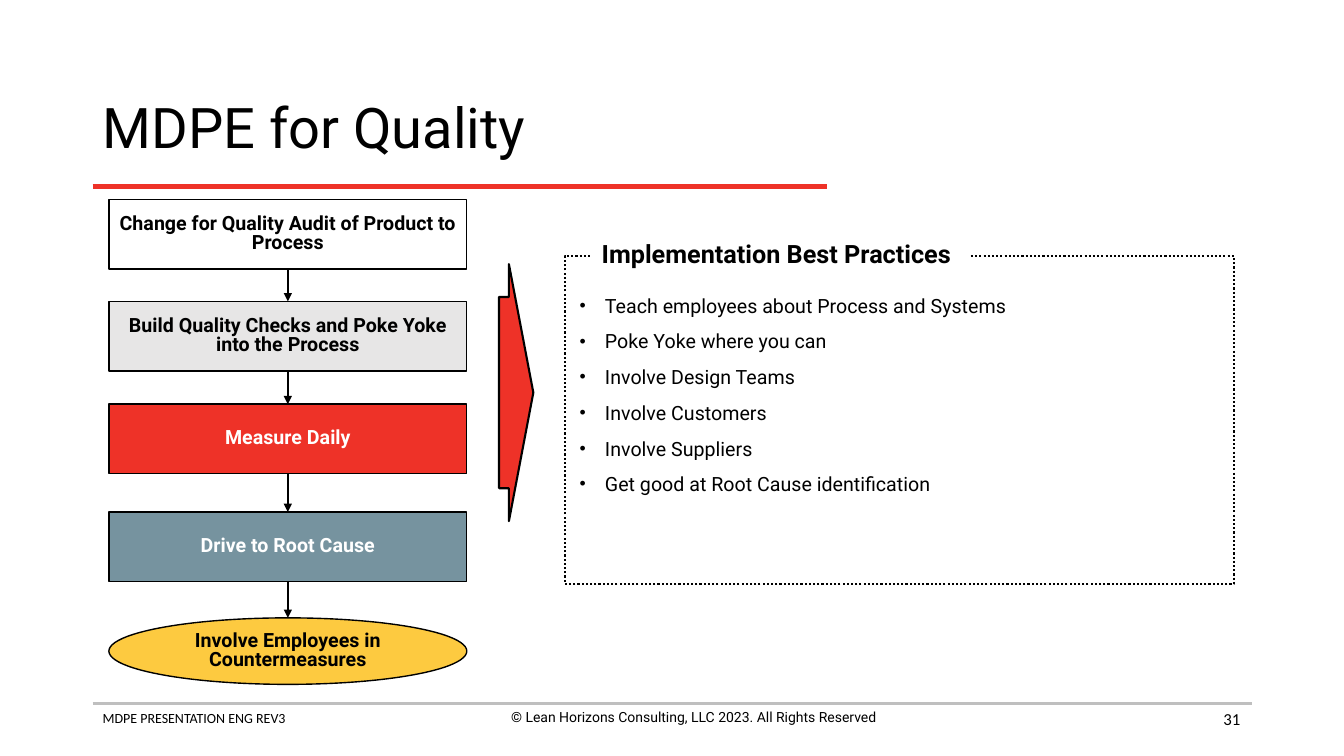
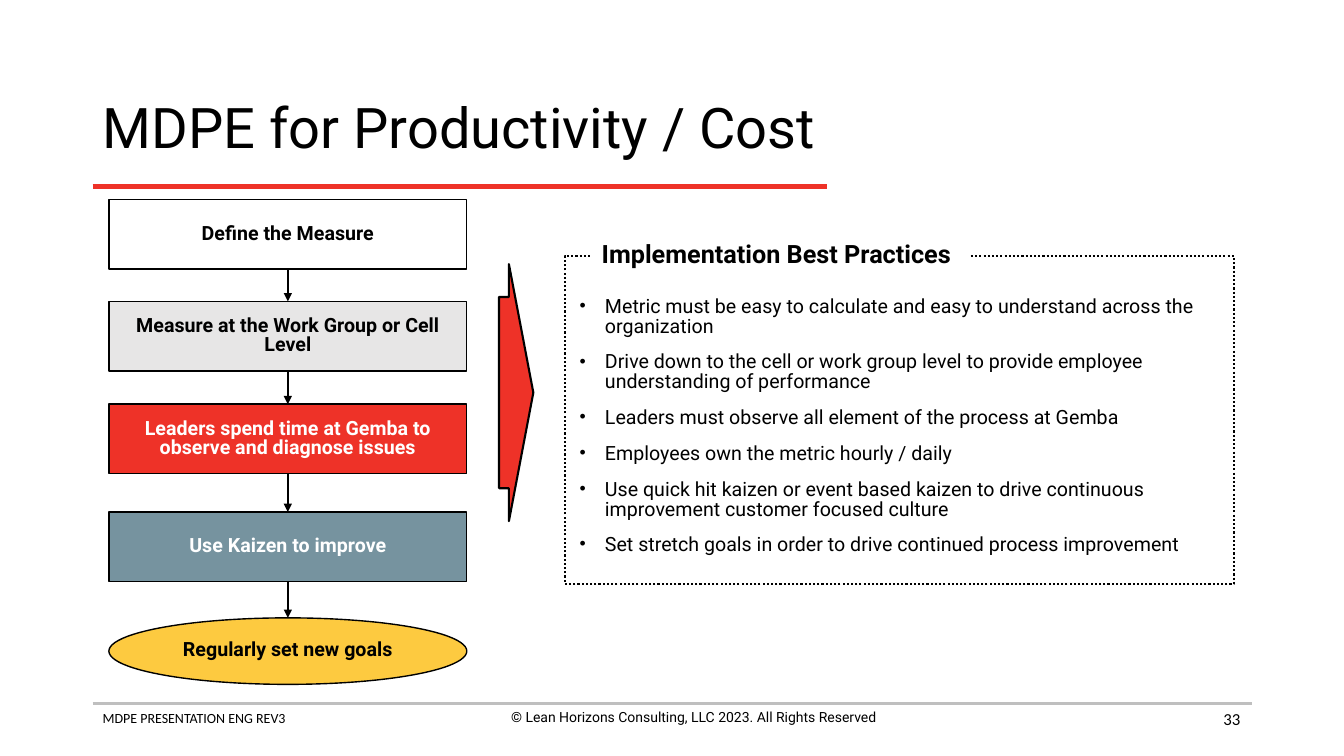
from itertools import pairwise

from lxml import etree
from pptx import Presentation
from pptx.dml.color import RGBColor
from pptx.enum.dml import MSO_LINE
from pptx.enum.shapes import MSO_CONNECTOR, MSO_SHAPE as SHAPE
from pptx.enum.text import MSO_ANCHOR as ANCHOR, PP_ALIGN as ALIGN
from pptx.oxml.ns import qn
from pptx.util import Inches, Pt

# Content
SLIDES = [
    {
        "title": "MDPE for Quality",
        "number": "31",
        "steps": [
            "Change for Quality Audit of Product to Process",
            "Build Quality Checks and Poke Yoke into the Process",
            "Measure Daily",
            "Drive to Root Cause",
            "Involve Employees in Countermeasures",
        ],
        "practices": [
            "Teach employees about Process and Systems",
            "Poke Yoke where you can",
            "Involve Design Teams",
            "Involve Customers",
            "Involve Suppliers",
            "Get good at Root Cause identification",
        ],
    },
    {
        "title": "MDPE for Productivity / Cost",
        "number": "33",
        "steps": [
            "Define the Measure",
            "Measure at the Work Group or Cell Level",
            "Leaders spend time at Gemba to observe and diagnose issues",
            "Use Kaizen to improve",
            "Regularly set new goals",
        ],
        "practices": [
            "Metric must be easy to calculate and easy to understand across the organization",
            "Drive down to the cell or work group level to provide employee understanding of performance",
            "Leaders must observe all element of the process at Gemba",
            "Employees own the metric hourly / daily",
            "Use quick hit kaizen or event based kaizen to drive continuous improvement customer focused culture",
            "Set stretch goals in order to drive continued process improvement",
        ],
    },
]
PRACTICES_HEADING = "Implementation Best Practices"
FOOTER = "MDPE PRESENTATION ENG REV3"
COPYRIGHT = "© Lean Horizons Consulting, LLC 2023. All Rights Reserved"

# Shared style
BLACK, WHITE, RED, GRAY = "000000", "FFFFFF", "EE3228", "BFBFBF"
HEAD_FONT, FOOT_FONT = "Roboto", "Calibri"
MARGIN = 0.92
STEP_LEFT, STEP_WIDTH = 1.08, 3.55
# Shape, top, height, fill and text colour of each step
STEP_STYLES = [
    (SHAPE.RECTANGLE, 1.98, 0.69, WHITE, BLACK),
    (SHAPE.RECTANGLE, 2.99, 0.69, "E7E6E6", BLACK),
    (SHAPE.RECTANGLE, 4.01, 0.69, RED, WHITE),
    (SHAPE.RECTANGLE, 5.08, 0.69, "76939F", WHITE),
    (SHAPE.OVAL, 6.13, 0.66, "FDCA40", BLACK),
]


def rgb(value):
    return RGBColor.from_string(value)


def add_bullet(paragraph):
    props = paragraph._p.get_or_add_pPr()
    props.set("marL", str(Inches(0.25)))
    props.set("indent", str(Inches(-0.25)))
    color = etree.SubElement(props, qn("a:buClr"))
    etree.SubElement(color, qn("a:srgbClr"), val=BLACK)
    etree.SubElement(props, qn("a:buSzPct"), val="90000")
    etree.SubElement(props, qn("a:buFont"), typeface="Arial")
    etree.SubElement(props, qn("a:buChar"), char="•")


def write(shape, lines, size=14, font=HEAD_FONT, color=BLACK, bold=False,
          align=ALIGN.LEFT, anchor=ANCHOR.TOP, spacing=1.0, gap=0,
          bullets=False, inset=(0.1, 0.05)):
    frame = shape.text_frame
    frame.word_wrap = True
    frame.vertical_anchor = anchor
    frame.margin_left = frame.margin_right = Inches(inset[0])
    frame.margin_top = frame.margin_bottom = Inches(inset[1])
    for i, line in enumerate(lines):
        paragraph = frame.add_paragraph() if i else frame.paragraphs[0]
        if bullets:
            add_bullet(paragraph)
        paragraph.alignment = align
        paragraph.line_spacing = spacing
        if i:
            paragraph.space_before = Pt(gap)
        run = paragraph.add_run()
        run.text = line
        run.font.size, run.font.name, run.font.bold = Pt(size), font, bold
        run.font.color.rgb = rgb(color)


def add_text(slide, box, lines, **style):
    write(slide.shapes.add_textbox(*map(Inches, box)), lines, **style)


def add_box(slide, kind, box, fill=None, line=None, width=1):
    shape = slide.shapes.add_shape(kind, *map(Inches, box))
    shape.shadow.inherit = False
    if fill:
        shape.fill.solid()
        shape.fill.fore_color.rgb = rgb(fill)
    else:
        shape.fill.background()
    if line:
        shape.line.color.rgb = rgb(line)
        shape.line.width = Pt(width)
    else:
        shape.line.fill.background()
    return shape


def add_line(slide, start, end, color, width):
    line = slide.shapes.add_connector(
        MSO_CONNECTOR.STRAIGHT, *map(Inches, (*start, *end)))
    line.line.color.rgb = rgb(color)
    line.line.width = Pt(width)
    etree.SubElement(line._element.spPr, qn("a:effectLst"))
    return line


def add_frame(slide, title, number):
    # Title and its rule
    add_line(slide, (MARGIN, 1.85), (8.2, 1.85), RED, 3)
    add_text(slide, (MARGIN, 0.74, 11.5, 1.1), [title], size=40,
             anchor=ANCHOR.MIDDLE, spacing=0.9)
    # Footer
    add_line(slide, (MARGIN, 6.98), (12.42, 6.98), GRAY, 2)
    add_text(slide, (MARGIN, 6.99, 4.56, 0.44), [FOOTER], size=10, font=FOOT_FONT)
    add_text(slide, (4.6, 6.98, 4.56, 0.44), [COPYRIGHT], size=10, align=ALIGN.CENTER)
    add_text(slide, (9.4, 6.93, 3, 0.4), [number], size=12, font=FOOT_FONT,
             align=ALIGN.RIGHT, anchor=ANCHOR.MIDDLE)


def add_steps(slide, steps):
    boxes = []
    for step, (kind, top, height, fill, color) in zip(steps, STEP_STYLES):
        box = add_box(slide, kind, (STEP_LEFT, top, STEP_WIDTH, height), fill, BLACK)
        write(box, [step], color=color, bold=True, align=ALIGN.CENTER,
              anchor=ANCHOR.MIDDLE, spacing=0.8)
        boxes.append(box)
    for upper, lower in pairwise(boxes):
        arrow = add_line(slide, (0, 0), (0, 0), BLACK, 1)
        arrow.begin_connect(upper, 2)
        arrow.end_connect(lower, 0)
        etree.SubElement(arrow.line._get_or_add_ln(), qn("a:tailEnd"), type="triangle")


def add_practices(slide, practices):
    # Arrow from the steps to the panel
    arrow = add_box(slide, SHAPE.RIGHT_ARROW, (4.95, 2.62, 0.34, 2.55), RED, BLACK, 1.5)
    arrow.adjustments[0], arrow.adjustments[1] = 0.744, 0.712
    # Dotted panel with its heading set into the top edge
    panel = add_box(slide, SHAPE.RECTANGLE, (5.6, 2.54, 6.64, 3.25), line=BLACK, width=1.5)
    panel.line.dash_style = MSO_LINE.ROUND_DOT
    heading = add_box(slide, SHAPE.RECTANGLE, (5.87, 2.37, 3.74, 0.35), WHITE)
    write(heading, [PRACTICES_HEADING], size=18, bold=True, spacing=0.8)
    add_text(slide, (5.67, 2.91, 6.58, 2.83), practices, spacing=0.85, gap=11.2,
             bullets=True, inset=(0.08, 0.04))


def main():
    deck = Presentation()
    deck.slide_width, deck.slide_height = Inches(13.33), Inches(7.5)
    for content in SLIDES:
        slide = deck.slides.add_slide(deck.slide_layouts[6])
        add_frame(slide, content["title"], content["number"])
        add_steps(slide, content["steps"])
        add_practices(slide, content["practices"])
    deck.save("out.pptx")


if __name__ == "__main__":
    main()
